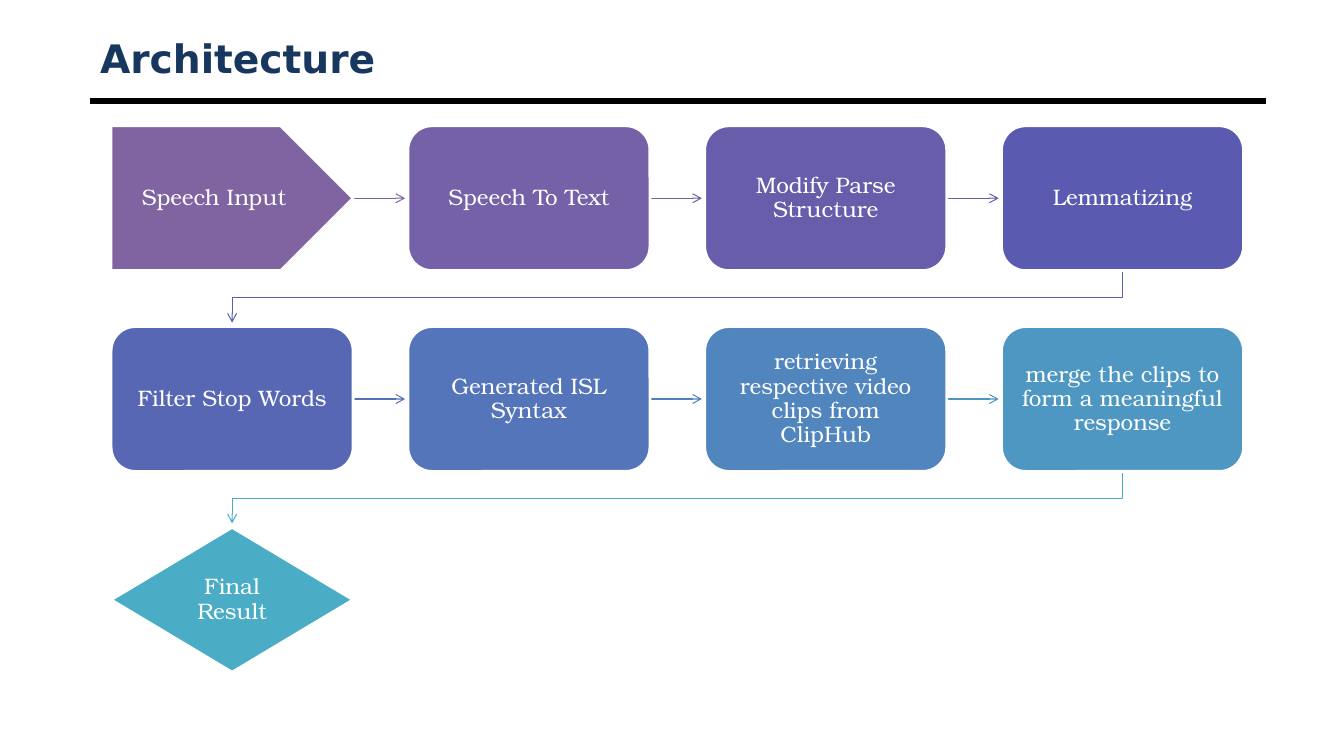
from pptx import Presentation
from pptx.dml.color import RGBColor
from pptx.enum.shapes import MSO_CONNECTOR, MSO_SHAPE
from pptx.enum.text import MSO_ANCHOR, PP_ALIGN
from pptx.oxml.ns import qn
from pptx.util import Cm, Pt
from lxml import etree

PENTAGON, ROUNDED, DECISION = MSO_SHAPE.PENTAGON, MSO_SHAPE.ROUNDED_RECTANGLE, MSO_SHAPE.FLOWCHART_DECISION
STRAIGHT = MSO_CONNECTOR.STRAIGHT
MIDDLE, LEFT, CENTER = MSO_ANCHOR.MIDDLE, PP_ALIGN.LEFT, PP_ALIGN.CENTER

COLORS = {"title": "17375E", "rule": "000000", "white": "FFFFFF"}
TITLE_FONT = {"name": "DejaVu Sans", "size": Pt(28), "bold": True}
STEP_FONT = {"name": "TeX Gyre Bonum", "size": Pt(16), "bold": False}

# Step: text, shape, fill, colour of the arrow to the next step
STEPS = [
    ("Speech Input", PENTAGON, "8064A2", "8064A2"),
    ("Speech To Text", ROUNDED, "7561A7", "7460A7"),
    ("Modify Parse Structure", ROUNDED, "685DAB", "645DAD"),
    ("Lemmatizing", ROUNDED, "5A5BB0", "5960B2"),
    ("Filter Stop Words", ROUNDED, "5767B4", "556EB7"),
    ("Generated ISL Syntax", ROUNDED, "5475B9", "5280BC"),
    ("retrieving respective video clips from ClipHub", ROUNDED, "5185BD", "4E94C1"),
    ("merge the clips to form a meaningful response", ROUNDED, "4E97C2", "4BACC6"),
    ("Final Result", DECISION, "4BACC6", None),
]
COLUMNS = 4
GRID_LEFT, GRID_TOP = Cm(2.8), Cm(3.17)
PITCH_X, PITCH_Y = Cm(7.48), Cm(5.06)
STEP_W, STEP_H = Cm(6.1), Cm(3.65)
ARROW, BEND = Cm(1.31), Cm(0.69)


def style_line(shape, color, width, arrow=False):
    shape.line.color.rgb = RGBColor.from_string(color)
    shape.line.width = Pt(width)
    spPr = shape._element.spPr
    if arrow:
        etree.SubElement(spPr.find(qn("a:ln")), qn("a:tailEnd"), type="arrow")
    if spPr.find(qn("a:effectLst")) is None:
        etree.SubElement(spPr, qn("a:effectLst"))


def write(tf, text, font, color, align):
    tf.word_wrap = True
    tf.vertical_anchor = MIDDLE
    p = tf.paragraphs[0]
    p.alignment = align
    r = p.add_run()
    r.text = text
    for key, value in font.items():
        setattr(r.font, key, value)
    r.font.color.rgb = RGBColor.from_string(color)
    return p


prs = Presentation()
prs.slide_width, prs.slide_height = Cm(33.87), Cm(19.05)
s = prs.slides.add_slide(prs.slide_layouts[5])

# Title and rule
title = s.shapes.title
title.left, title.top, title.width, title.height = Cm(2.27), Cm(0.77), Cm(29.64), Cm(1.35)
write(title.text_frame, "Architecture", TITLE_FONT, COLORS["title"], LEFT)
rule = s.shapes.add_connector(STRAIGHT, Cm(2.27), Cm(2.55), Cm(31.91), Cm(2.55))
style_line(rule, COLORS["rule"], 4.5)

# Steps in rows of four, each with the arrow that leaves it
for i, (text, kind, fill, arrow_color) in enumerate(STEPS):
    row, col = divmod(i, COLUMNS)
    x, y = GRID_LEFT + col * PITCH_X, GRID_TOP + row * PITCH_Y
    right, bottom = x + STEP_W, y + STEP_H

    if arrow_color:
        if col < COLUMNS - 1:
            middle = y + STEP_H // 2
            arrow = s.shapes.add_connector(STRAIGHT, right, middle, right + ARROW, middle)
        else:
            start, end = x + STEP_W // 2, GRID_LEFT + STEP_W // 2
            fb = s.shapes.build_freeform(start, bottom)
            fb.add_line_segments([(start, bottom + BEND), (end, bottom + BEND),
                                  (end, bottom + ARROW)], close=False)
            arrow = fb.convert_to_shape()
            arrow.fill.background()
        style_line(arrow, arrow_color, 0.75, arrow=True)

    sp = s.shapes.add_shape(kind, x, y, STEP_W, STEP_H)
    sp.shadow.inherit = False
    sp.fill.solid()
    sp.fill.fore_color.rgb = RGBColor.from_string(fill)
    style_line(sp, COLORS["white"], 2)
    tf = sp.text_frame
    for side in ("left", "right", "top", "bottom"):
        setattr(tf, f"margin_{side}", Cm(0.3))
    p = write(tf, text, STEP_FONT, COLORS["white"], CENTER)
    p.line_spacing = 0.9

prs.save("out.pptx")
